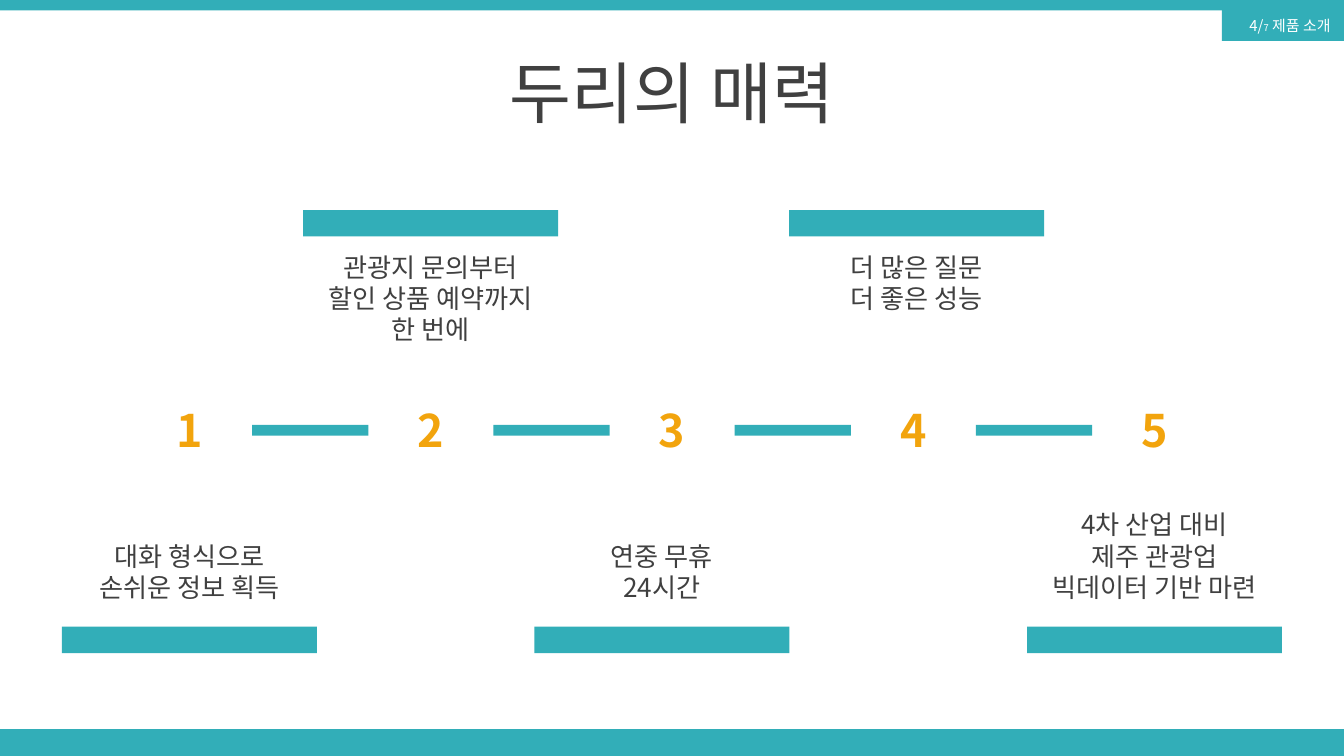
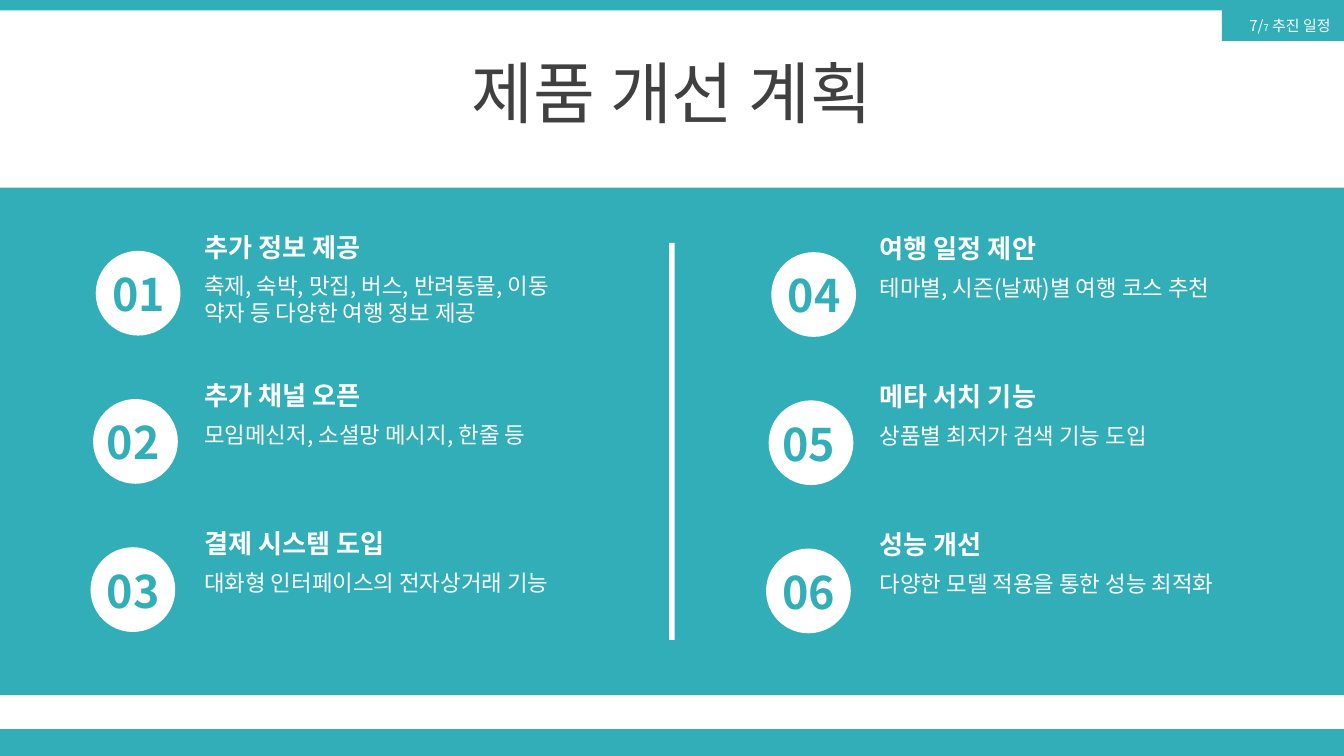
from dataclasses import dataclass

from lxml.etree import SubElement
from pptx import Presentation
from pptx.dml.color import RGBColor as RGB
from pptx.enum.shapes import MSO_SHAPE as Shape
from pptx.enum.text import MSO_ANCHOR as Anchor, PP_ALIGN as Align
from pptx.oxml.ns import qn
from pptx.util import Pt


@dataclass(frozen=True)
class Theme:
    font: str = "Noto Sans CJK KR"
    teal: RGB = RGB(0x32, 0xAE, 0xB8)
    gold: RGB = RGB(0xF2, 0xA4, 0x0D)
    ink: RGB = RGB(0x40, 0x40, 0x40)
    white: RGB = RGB(0xFF, 0xFF, 0xFF)
    title: int = 36
    number: int = 24
    head: int = 14
    body: int = 12
    tab: int = 8
    tiny: int = 5


WIDE, HIGH = 720, 405
TITLE_ONLY = 5


def write(frame, content, *, size, color, font, bold=False,
          align=Align.LEFT, anchor=Anchor.TOP):
    """Fill a frame from a string of lines, or from one line of (text, size) runs."""
    frame.word_wrap = True
    frame.vertical_anchor = anchor
    if isinstance(content, str):
        lines = [[(line, size)] for line in content.split("\n")]
    else:
        lines = [content]
    for i, line in enumerate(lines):
        para = frame.add_paragraph() if i else frame.paragraphs[0]
        para.alignment = align
        for words, points in line:
            run = para.add_run()
            run.text = words
            run.font.size = Pt(points)
            run.font.bold = bold
            run.font.color.rgb = color
            run.font.name = font
            SubElement(run.font._element, qn("a:ea"), typeface=font)


class Page:
    """One slide with the shared bands, title and section tab."""

    def __init__(self, deck, theme, title, number, section):
        self.theme = theme
        layout = deck.slide_layouts[TITLE_ONLY]
        self.slide = deck.slides.add_slide(layout)
        self.shapes = self.slide.shapes
        self.block(0, 390.7, WIDE, 14.3)
        self.block(0, 0, WIDE, 5.6)
        self.title(title)
        self.tab(number, section)

    def group(self):
        """Send the next elements to a new group."""
        self.shapes = self.slide.shapes.add_group_shape().shapes

    def ungroup(self):
        self.shapes = self.slide.shapes

    def block(self, x, y, w, h, fill=None, kind=Shape.RECTANGLE):
        shape = self.shapes.add_shape(kind, Pt(x), Pt(y), Pt(w), Pt(h))
        shape.shadow.inherit = False
        shape.fill.solid()
        shape.fill.fore_color.rgb = fill or self.theme.teal
        shape.line.fill.background()
        return shape

    def text(self, x, y, w, h, content, **style):
        box = self.shapes.add_textbox(Pt(x), Pt(y), Pt(w), Pt(h))
        write(box.text_frame, content, font=self.theme.font, **style)

    def number(self, x, y, w, content, color):
        self.text(x, y, w, 36, content, size=self.theme.number,
                  color=color, bold=True, align=Align.CENTER)

    def title(self, content):
        holder = self.slide.shapes.title
        holder.left, holder.top = Pt(0), Pt(26.6)
        holder.width, holder.height = Pt(WIDE), Pt(45.4)
        write(holder.text_frame, content, size=self.theme.title,
              color=self.theme.ink, font=self.theme.font,
              align=Align.CENTER, anchor=Anchor.MIDDLE)

    def tab(self, number, section):
        theme = self.theme
        shape = self.block(654.6, 5, 65.4, 17)
        runs = [(f"{number}/", theme.tab), ("7", theme.tiny),
                (f" {section}", theme.tab)]
        write(shape.text_frame, runs, size=theme.tab, color=theme.white,
              font=theme.font, align=Align.RIGHT, anchor=Anchor.MIDDLE)

    def card(self, x, content, above):
        """Put a bar and its words above or below the number row."""
        bar, top, high, anchor = (
            (112.5, 131, 58, Anchor.TOP) if above
            else (335.7, 251.5, 75, Anchor.BOTTOM))
        self.group()
        self.text(x, top, 136.6, high, content, size=self.theme.head,
                  color=self.theme.ink, align=Align.CENTER, anchor=anchor)
        self.block(x, bar, 136.6, 14.2)
        self.ungroup()

    def plan(self, x, y, head, body):
        theme = self.theme
        self.group()
        self.text(x, y + 22.3, 209.5, 21.6, body,
                  size=theme.body, color=theme.white)
        self.text(x, y, 209.5, 24.2, head, size=theme.head,
                  color=theme.white, bold=True)
        self.ungroup()


def draw_charms(deck, theme):
    page = Page(deck, theme, "두리의 매력", 4, "제품 소개")
    cards = [
        (33.2, "대화 형식으로\n손쉬운 정보 획득"),
        (162.4, "관광지 문의부터\n할인 상품 예약까지\n한 번에"),
        (286.3, "연중 무휴\n24시간"),
        (422.8, "더 많은 질문\n더 좋은 성능"),
        (550.2, "4차 산업 대비\n제주 관광업\n빅데이터 기반 마련"),
    ]
    step = 129.25
    for i, (x, content) in enumerate(cards):
        page.number(65.2 + i * step, 212.4, 72.7, str(i + 1), theme.gold)
        if i:
            page.block(135 + (i - 1) * step, 227.6, 62.4, 5.8)
        page.card(x, content, above=i % 2 == 1)


def draw_plans(deck, theme):
    page = Page(deck, theme, "제품 개선 계획", 7, "추진 일정")
    page.block(0, 100.5, WIDE, 272)
    plans = [
        ("추가 정보 제공",
         "축제, 숙박, 맛집, 버스, 반려동물, 이동 약자 등 다양한 여행 정보 제공"),
        ("추가 채널 오픈", "모임메신저, 소셜망 메시지, 한줄 등"),
        ("결제 시스템 도입", "대화형 인터페이스의 전자상거래 기능"),
        ("여행 일정 제안", "테마별, 시즌(날짜)별 여행 코스 추천"),
        ("메타 서치 기능", "상품별 최저가 검색 기능 도입"),
        ("성능 개선", "다양한 모델 적용을 통한 성능 최적화"),
    ]
    indents = (49, 46.2, 46.2)
    for i, (head, body) in enumerate(plans):
        col, row = divmod(i, 3)
        x, y = col * 361.9, col * 0.7 + row * 79.4
        page.block(x + 51.3 - row * 1.4, y + 134.4, 45.4, 45.4,
                   theme.white, Shape.OVAL)
        page.plan(x + 102.3, y + 120.2, head, body)
        page.number(x + indents[row], y + 139.4, 50.4,
                    f"{i + 1:02}", theme.teal)
    page.block(358.5, 130.2, 3, 212.6, theme.white)


def main():
    deck = Presentation()
    deck.slide_width, deck.slide_height = Pt(WIDE), Pt(HIGH)
    theme = Theme()
    draw_charms(deck, theme)
    draw_plans(deck, theme)
    deck.save("out.pptx")


if __name__ == "__main__":
    main()
